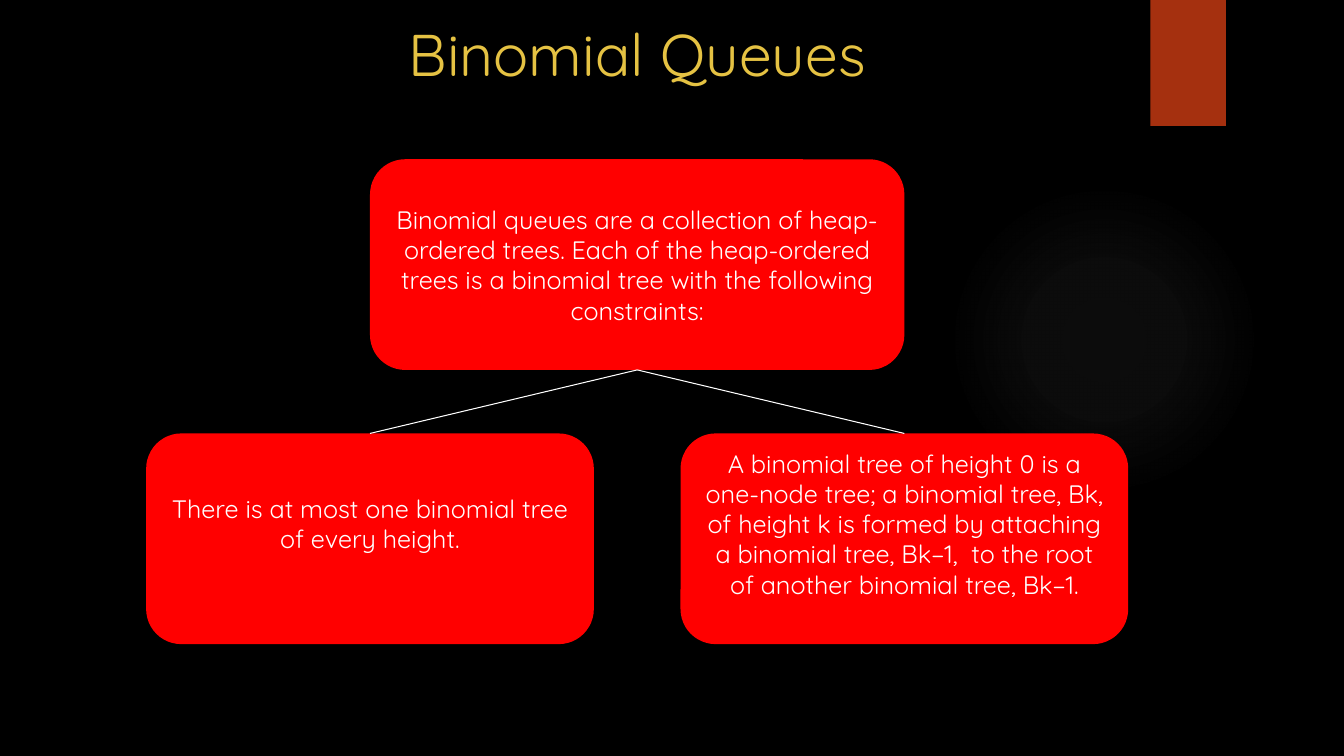
import pptx
import pptx.dml.color
import pptx.enum.shapes
import pptx.enum.text
import pptx.oxml
import pptx.oxml.ns
import pptx.util
from lxml import etree

Inches, Pt = pptx.util.Inches, pptx.util.Pt
RGBColor = pptx.dml.color.RGBColor
SHAPE = pptx.enum.shapes.MSO_SHAPE
CENTER = pptx.enum.text.PP_ALIGN.CENTER
ANCHOR = pptx.enum.text.MSO_ANCHOR

# Content
TITLE = "Binomial Queues"
ROOT = ("Binomial queues are a collection of heap-ordered trees. Each of the heap-ordered "
        "trees is a binomial tree with the following constraints:")
CONSTRAINTS = [
    "There is at most one binomial tree of every height.",
    "A binomial tree of height 0 is a one-node tree; a binomial tree, Bk, of height k is "
    "formed by attaching a binomial tree, Bk−1,  to the root of another binomial tree, Bk−1.",
]

# Style
FONT = "Quicksand"
BLACK = RGBColor(0x00, 0x00, 0x00)
WHITE = RGBColor(0xFF, 0xFF, 0xFF)
RED = RGBColor(0xFF, 0x00, 0x00)
RUST = RGBColor(0xA5, 0x30, 0x0F)
GOLD = RGBColor(0xE5, 0xC2, 0x43)
GLOW = RGBColor(0xAD, 0xAD, 0xAD)
GLOW_STOPS = [(0, 7), (36, 6), (69, 0)]  # position and opacity, in percent

# Tree geometry, in inches
AXIS = 6.32
BRANCH = 2.65  # half the distance between the two lower boxes
ROOT_TOP, CONSTRAINT_TOP = 1.58, 4.3
ROOT_WIDTH, CONSTRAINT_WIDTH, BOX_HEIGHT = 5.3, 4.44, 2.09
TITLE_WIDTH = 11.5


def add_text(text_frame, text, size, color):
    paragraph = text_frame.paragraphs[0]
    paragraph.alignment = CENTER
    run = paragraph.add_run()
    run.text = text
    run.font.name, run.font.size = FONT, Pt(size)
    run.font.color.rgb = color


def add_shape(slide, kind, left, top, width, height, color):
    shape = slide.shapes.add_shape(kind, *map(Inches, (left, top, width, height)))
    shape.shadow.inherit = False
    shape.fill.solid()
    shape.fill.fore_color.rgb = color
    shape.line.fill.background()
    return shape


def add_box(slide, text, center, top, width, bottom_margin):
    box = add_shape(slide, SHAPE.ROUNDED_RECTANGLE, center - width / 2, top,
                    width, BOX_HEIGHT, RED)
    frame = box.text_frame
    frame.word_wrap = True
    frame.vertical_anchor = ANCHOR.MIDDLE
    frame.margin_bottom = Inches(bottom_margin)
    add_text(frame, text, 18, WHITE)
    return box


def add_glow(slide):
    glow = add_shape(slide, SHAPE.OVAL, 9.41, 1.83, 3.08, 3.08, GLOW)
    stops = "".join(
        f'<a:gs pos="{position * 1000}"><a:srgbClr val="{GLOW}">'
        f'<a:alpha val="{opacity * 1000}"/></a:srgbClr></a:gs>'
        for position, opacity in GLOW_STOPS)
    gradient = pptx.oxml.parse_xml(
        f'<a:gradFill {pptx.oxml.ns.nsdecls("a")} rotWithShape="1"><a:gsLst>{stops}</a:gsLst>'
        '<a:path path="circle"><a:fillToRect l="50000" t="50000" r="50000" b="50000"/>'
        '</a:path></a:gradFill>')
    properties = glow._element.spPr
    properties.replace(properties.find(pptx.oxml.ns.qn("a:solidFill")), gradient)


def add_branch(slide, parent, child):
    branch = slide.shapes.add_connector(pptx.enum.shapes.MSO_CONNECTOR.STRAIGHT, 0, 0, 0, 0)
    branch.begin_connect(parent, 2)
    branch.end_connect(child, 0)
    branch.line.color.rgb = WHITE
    branch.line.width = Pt(0.75)
    etree.SubElement(branch._element.spPr, pptx.oxml.ns.qn("a:effectLst"))


def main():
    presentation = pptx.Presentation()
    presentation.slide_width, presentation.slide_height = Inches(13.33), Inches(7.5)
    slide = presentation.slides.add_slide(presentation.slide_layouts[5])
    slide.background.fill.solid()
    slide.background.fill.fore_color.rgb = BLACK

    # Decoration
    add_glow(slide)
    add_shape(slide, SHAPE.RECTANGLE, 11.41, 0, 0.75, 1.25, RUST)

    # Title
    title = slide.shapes.title
    title.left, title.top = Inches(AXIS - TITLE_WIDTH / 2), Inches(0.13)
    title.width, title.height = Inches(TITLE_WIDTH), Inches(1.45)
    title.text_frame.vertical_anchor = ANCHOR.TOP
    add_text(title.text_frame, TITLE, 42, GOLD)

    # Tree of boxes
    root = add_box(slide, ROOT, AXIS, ROOT_TOP, ROOT_WIDTH, 0.05)
    for side, text in zip((-1, 1), CONSTRAINTS):
        constraint = add_box(slide, text, AXIS + side * BRANCH, CONSTRAINT_TOP,
                             CONSTRAINT_WIDTH, 0.35)
        add_branch(slide, root, constraint)

    presentation.save("out.pptx")


if __name__ == "__main__":
    main()
